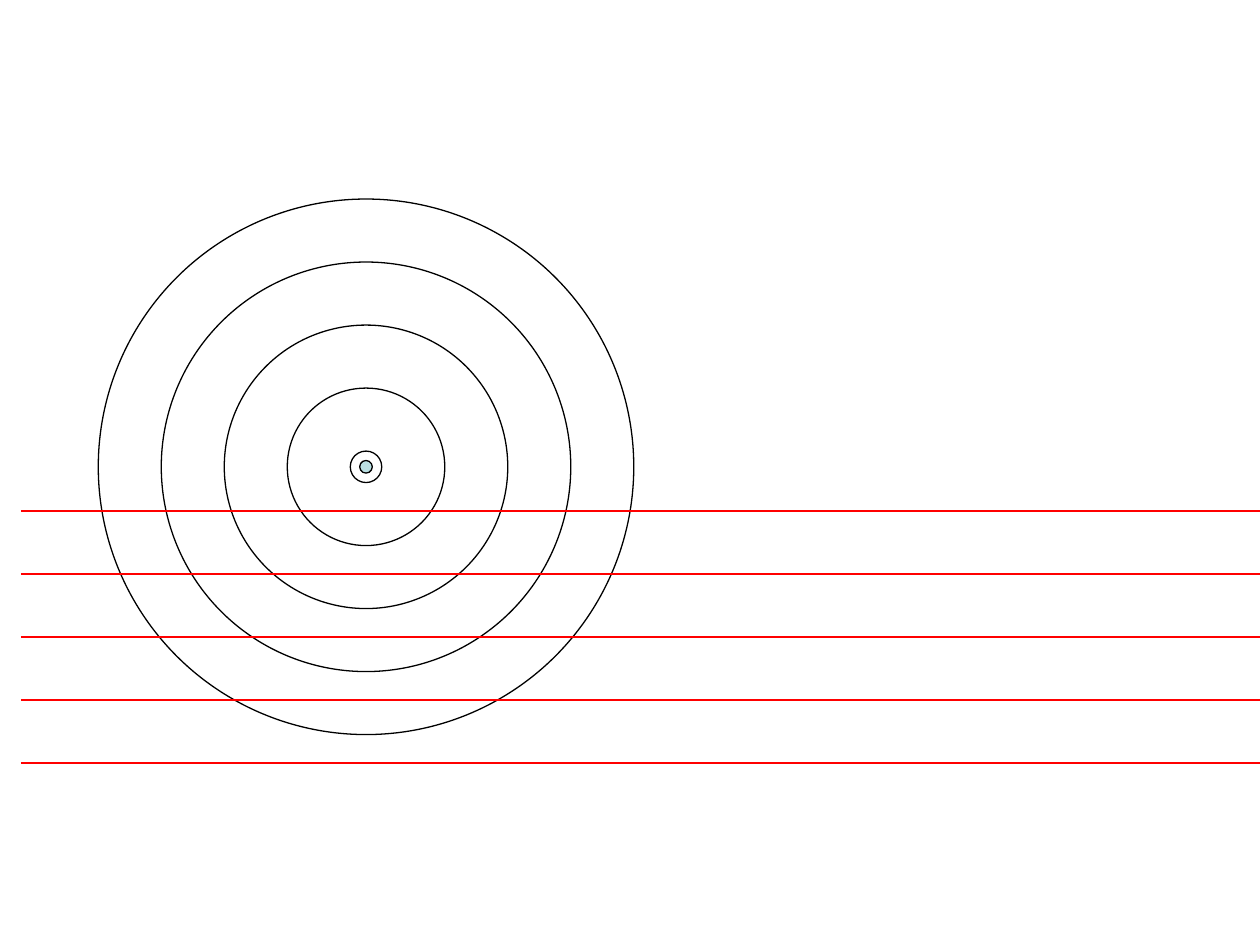
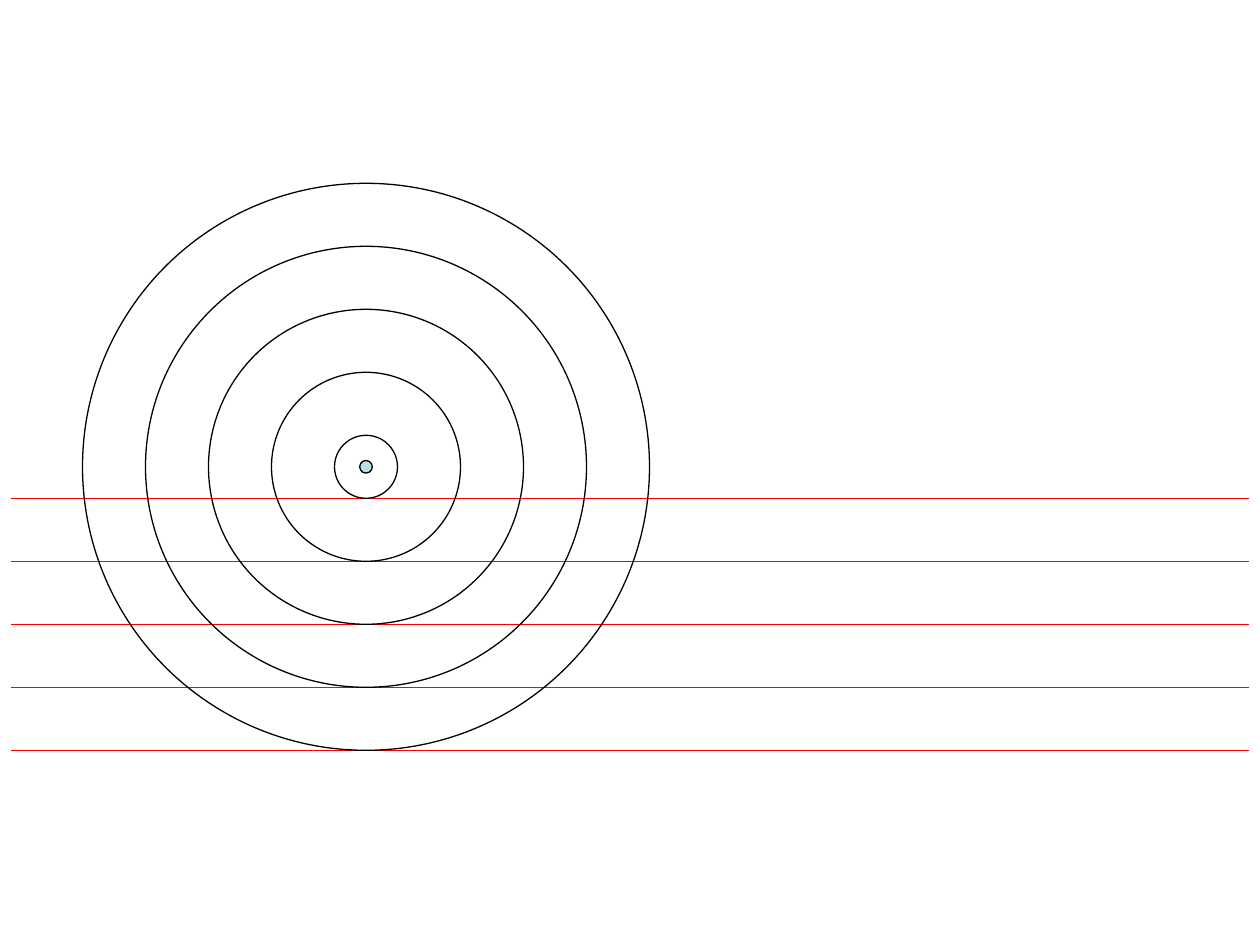
from dataclasses import dataclass

from lxml import etree
from pptx import Presentation
from pptx.dml.color import RGBColor
from pptx.enum.shapes import MSO_CONNECTOR, MSO_SHAPE
from pptx.oxml.ns import qn
from pptx.shapes.shapetree import GroupShapes
from pptx.util import Pt

ELLIPSE = MSO_SHAPE.OVAL
STRAIGHT = MSO_CONNECTOR.STRAIGHT

BLACK = RGBColor(0x00, 0x00, 0x00)
RED = RGBColor(0xFF, 0x00, 0x00)
PALE_BLUE = RGBColor(0xBB, 0xE0, 0xE3)

EMU_PER_PX = 4572  # 200 px to the inch
SLIDE_WIDTH, SLIDE_HEIGHT = 2000, 1500
CENTER_X, CENTER_Y = 581, 741
DOT_RADIUS = 10
WAVE_COUNT = 5
WAVELENGTH = 100
LINE_WIDTH = Pt(0.75)
BLANK_LAYOUT = 6


@dataclass(frozen=True)
class WavePattern:
    """Circular waves around a source, with plane wavefronts across them."""
    inner_radius: int
    first_front_y: int
    front_left: int
    front_right: int
    fronts_behind: bool


PATTERNS = (
    WavePattern(25, 811, 33, SLIDE_WIDTH, fronts_behind=False),
    WavePattern(50, CENTER_Y + 50, 17, SLIDE_WIDTH - 17, fronts_behind=True),
)


def px(length: int) -> int:
    return length * EMU_PER_PX


def add_circle(shapes: GroupShapes, radius: int,
               fill: RGBColor | None = None) -> None:
    circle = shapes.add_shape(
        ELLIPSE, px(CENTER_X - radius), px(CENTER_Y - radius),
        px(2 * radius), px(2 * radius))
    circle.shadow.inherit = False
    if fill is None:
        circle.fill.background()
    else:
        circle.fill.solid()
        circle.fill.fore_color.rgb = fill
    circle.line.color.rgb = BLACK
    circle.line.width = LINE_WIDTH


def add_circular_waves(shapes: GroupShapes, pattern: WavePattern) -> None:
    add_circle(shapes, DOT_RADIUS, PALE_BLUE)
    for index in range(WAVE_COUNT):
        add_circle(shapes, pattern.inner_radius + index * WAVELENGTH)


def add_plane_fronts(shapes: GroupShapes, pattern: WavePattern) -> None:
    for index in range(WAVE_COUNT):
        y = px(pattern.first_front_y + index * WAVELENGTH)
        front = shapes.add_connector(
            STRAIGHT, px(pattern.front_left), y, px(pattern.front_right), y)
        front.line.color.rgb = RED
        front.line.width = LINE_WIDTH
        etree.SubElement(front._element.spPr, qn("a:effectLst"))


def add_wave_slide(presentation: Presentation, pattern: WavePattern) -> None:
    slide = presentation.slides.add_slide(
        presentation.slide_layouts[BLANK_LAYOUT])
    shapes = slide.shapes.add_group_shape().shapes
    if pattern.fronts_behind:
        layers = (add_plane_fronts, add_circular_waves)
    else:
        layers = (add_circular_waves, add_plane_fronts)
    for add_layer in layers:
        add_layer(shapes, pattern)


def main() -> None:
    presentation = Presentation()
    presentation.slide_width = px(SLIDE_WIDTH)
    presentation.slide_height = px(SLIDE_HEIGHT)
    for pattern in PATTERNS:
        add_wave_slide(presentation, pattern)
    presentation.save("out.pptx")


if __name__ == "__main__":
    main()
